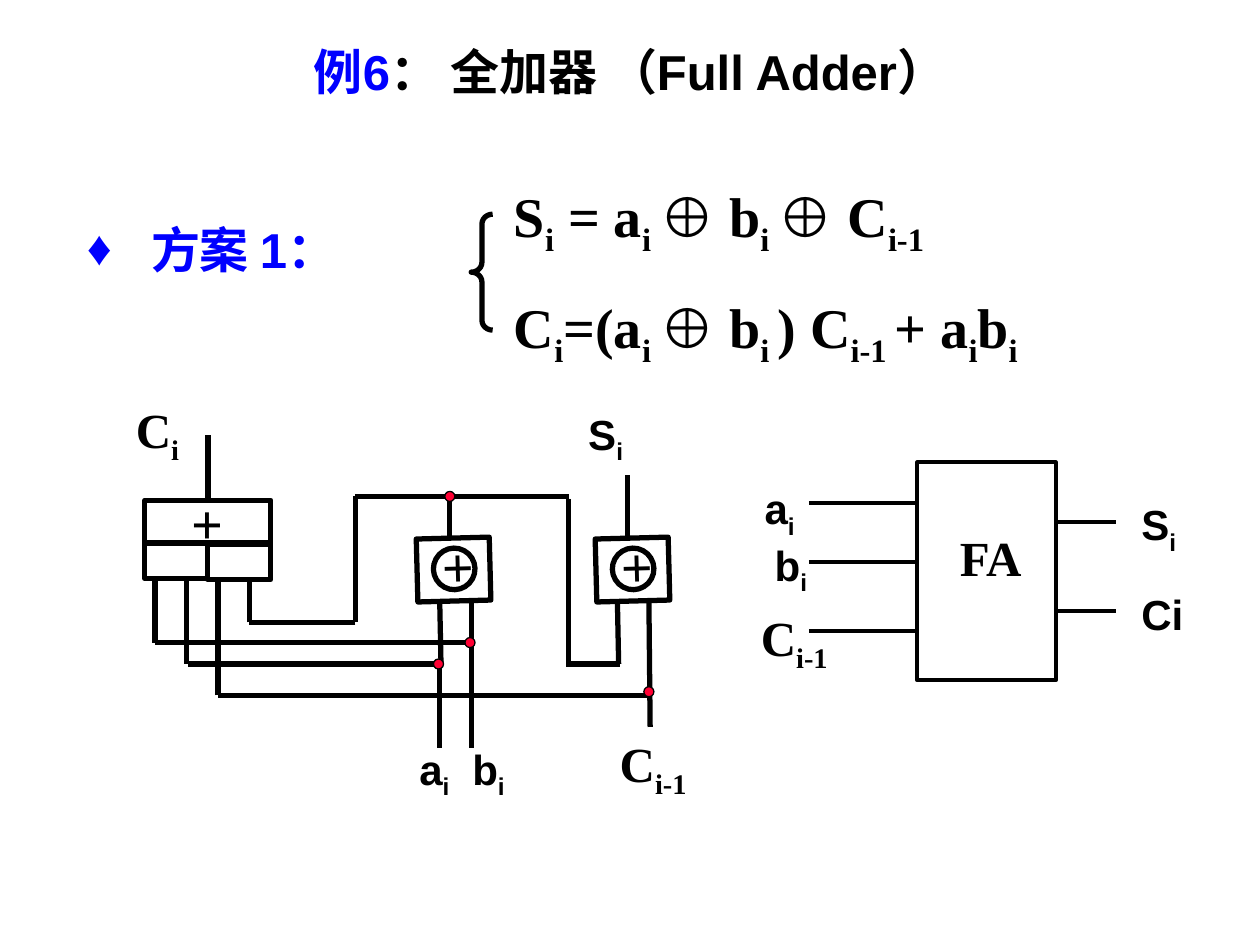
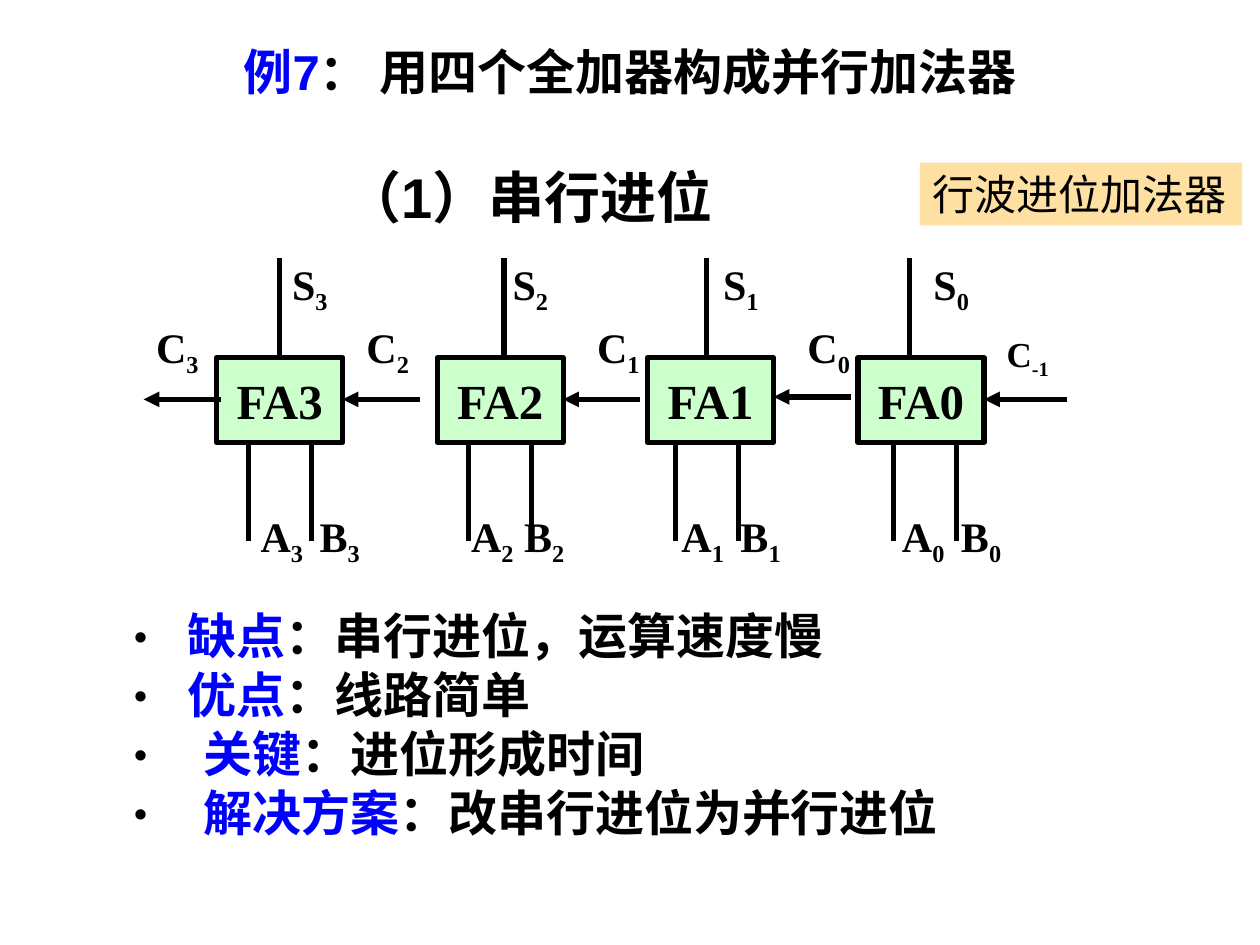
"""Build two slides on a full adder and a four-bit ripple-carry adder."""
from itertools import pairwise

from lxml import etree
from pptx import Presentation
from pptx.dml.color import RGBColor
from pptx.enum.shapes import MSO_CONNECTOR, MSO_SHAPE
from pptx.enum.text import MSO_ANCHOR, PP_ALIGN
from pptx.oxml.ns import qn
from pptx.util import Inches, Pt

BLACK = RGBColor(0x00, 0x00, 0x00)
BLUE = RGBColor(0x00, 0x00, 0xFF)
RED = RGBColor(0xFF, 0x00, 0x33)
GREEN = RGBColor(0xCC, 0xFF, 0xCC)
ORANGE = RGBColor(0xFF, 0xE0, 0xA3)
SANS, SERIF, CJK = "Arial", "Times New Roman", "Noto Sans CJK SC"
RECTANGLE, OVAL, BRACE = MSO_SHAPE.RECTANGLE, MSO_SHAPE.OVAL, MSO_SHAPE.LEFT_BRACE
STRAIGHT = MSO_CONNECTOR.STRAIGHT
CENTER, LEFT = PP_ALIGN.CENTER, PP_ALIGN.LEFT
MIDDLE, TOP = MSO_ANCHOR.MIDDLE, MSO_ANCHOR.TOP


def add_box(slide, box, paragraphs=(), kind=None, fill=None, line=0, size=24,
            font=SERIF, bold=True, align=LEFT, anchor=TOP, space=0, bullets=()):
    """Add a shape or text box; underscores in run text enclose subscripts."""
    frame = [Inches(value) for value in box]
    if kind is None:
        shape = slide.shapes.add_textbox(*frame)
    else:
        shape = slide.shapes.add_shape(kind, *frame)
        shape.shadow.inherit = False
        if fill is None:
            shape.fill.background()
        else:
            shape.fill.solid()
            shape.fill.fore_color.rgb = fill
        if line:
            shape.line.color.rgb = BLACK
            shape.line.width = Pt(line)
        else:
            shape.line.fill.background()
    text_frame = shape.text_frame
    text_frame.word_wrap = kind is None
    text_frame.vertical_anchor = anchor
    for index, runs in enumerate(paragraphs):
        paragraph = text_frame.paragraphs[0] if index == 0 else text_frame.add_paragraph()
        paragraph.alignment = align
        if index and space:
            paragraph.space_before = Pt(space)
        if bullets:
            character, bullet_font, bullet_color, indent = bullets[index]
            properties = paragraph._p.get_or_add_pPr()
            properties.set("marL", str(Inches(indent)))
            properties.set("indent", str(-Inches(indent)))
            color_element = etree.SubElement(properties, qn("a:buClr"))
            etree.SubElement(color_element, qn("a:srgbClr"), val=str(bullet_color))
            etree.SubElement(properties, qn("a:buFont"), typeface=bullet_font)
            etree.SubElement(properties, qn("a:buChar"), char=character)
        for text, color in runs:
            for part, piece in enumerate(text.split("_")):
                if not piece:
                    continue
                run = paragraph.add_run()
                run.text = piece
                run.font.size = Pt(size)
                run.font.bold = bold
                run.font.name = font
                run.font.color.rgb = color
                run_properties = run._r.get_or_add_rPr()
                if part % 2:
                    run_properties.set("baseline", "-25000")
                if font == SANS:
                    etree.SubElement(run_properties, qn("a:ea"), typeface=CJK)
    return shape


def add_wire(slide, points, width=3, arrow=False):
    """Join consecutive points with straight black connectors."""
    for start, end in pairwise(points):
        ends = [Inches(value) for value in (*start, *end)]
        wire = slide.shapes.add_connector(STRAIGHT, *ends)
        wire.line.color.rgb = BLACK
        wire.line.width = Pt(width)
        if arrow:
            etree.SubElement(wire.line._get_or_add_ln(), qn("a:tailEnd"), type="triangle")
        etree.SubElement(wire._element.spPr, qn("a:effectLst"))


presentation = Presentation()
presentation.slide_width = Inches(10)
presentation.slide_height = Inches(7.5)
titles = [
    ("例6", "： 全加器 （Full Adder）"),
    ("例7", "： 用四个全加器构成并行加法器"),
]
slides = []
for example, topic in titles:
    slide = presentation.slides.add_slide(presentation.slide_layouts[6])
    add_box(slide, (0, 0.28, 10, 0.57), [[(example, BLUE), (topic, BLACK)]],
            size=28, font=SANS, align=CENTER)
    slides.append(slide)
full_adder, ripple_adder = slides

add_box(full_adder, (0.59, 1.62, 2.99, 0.71), [[("方案 1：", BLUE)]], size=28,
        font=SANS, anchor=MIDDLE, bullets=[("♦", SANS, BLUE, 0.51)])
equations = ["S_i_ = a_i _⊕ b_i _⊕ C_i-1_", "C_i_=(a_i _⊕ b_i _) C_i-1 _+ a_i_b_i_"]
add_box(full_adder, (3.98, 1.39, 4.75, 1.43),
        [[(equation, BLACK)] for equation in equations], size=32, space=20)
brace = add_box(full_adder, (3.74, 1.7, 0.17, 0.92), kind=BRACE, line=3)
brace.adjustments[0] = 0.458

plus = [[("+", BLACK)]]
add_box(full_adder, (1.15, 3.97, 1, 0.34), plus, RECTANGLE, line=3, size=32,
        align=CENTER, anchor=MIDDLE)
for and_left, and_top in [(1.15, 4.31), (1.65, 4.32)]:
    add_box(full_adder, (and_left, and_top, 0.5, 0.28), kind=RECTANGLE, line=3)
for xor_left in (3.35, 4.77):
    gate = add_box(full_adder, (xor_left, 4.23, 0.5, 0.58), kind=RECTANGLE, line=3)
    ring = add_box(full_adder, (xor_left + 0.09, 4.35, 0.33, 0.33), plus, OVAL,
                   line=3, size=32, align=CENTER, anchor=MIDDLE)
    gate.rotation = ring.rotation = 268.5

gate_wires = [
    [(1.65, 3.95), (1.65, 3.45)],
    [(3.73, 5.1), (1.23, 5.1), (1.23, 4.6)],
    [(3.51, 5.27), (1.49, 5.27)],
    [(1.48, 5.27), (1.48, 4.6)],
    [(5.15, 5.52), (1.73, 5.52), (1.73, 4.6)],
    [(4.52, 3.94), (2.82, 3.94), (2.82, 4.94), (1.98, 4.94), (1.98, 4.6)],
    [(4.51, 3.96), (4.51, 5.29)],
    [(4.52, 5.27), (4.92, 5.27)],
    [(4.91, 5.27), (4.9, 4.77)],
    [(3.49, 4.77), (3.5, 5.27)],
    [(3.49, 5.27), (3.49, 5.94)],
    [(3.74, 4.77), (3.74, 5.94)],
    [(5.15, 4.77), (5.16, 5.77)],
    [(3.57, 4.27), (3.57, 3.97)],
    [(4.98, 4.27), (4.98, 3.77)],
]
for points in gate_wires:
    add_wire(full_adder, points)
for junction_left, junction_top in [(3.69, 5.06), (3.53, 3.9), (3.44, 5.23), (5.11, 5.45)]:
    add_box(full_adder, (junction_left, junction_top, 0.08, 0.08), kind=OVAL,
            fill=RED, line=0.75)

add_box(full_adder, (7.28, 3.67, 1.1, 1.73), kind=RECTANGLE, line=2.25)
for input_y in (3.99, 4.46, 5.01):
    add_wire(full_adder, [(6.42, input_y), (7.28, input_y)], 2.25)
for output_y in (4.14, 4.85):
    add_wire(full_adder, [(8.39, output_y), (8.86, output_y)], 2.25)

signal_labels = [
    ("C_i_", 0.98, 3.12, 28, SERIF),
    ("S_i_", 4.57, 3.19, 24, SANS),
    ("a_i_", 3.23, 5.85, 24, SANS),
    ("b_i_", 3.65, 5.85, 24, SANS),
    ("C_i-1_", 4.82, 5.77, 28, SERIF),
    ("a_i_", 5.97, 3.78, 24, SANS),
    ("b_i_", 6.05, 4.23, 24, SANS),
    ("C_i-1_", 5.94, 4.77, 28, SERIF),
    ("FA", 7.52, 4.14, 28, SERIF),
    ("S_i_", 8.96, 3.91, 24, SANS),
    ("Ci", 8.96, 4.62, 24, SANS),
]
for label, left, top, size, font in signal_labels:
    add_box(full_adder, (left, top, 0.85, 0.55), [[(label, BLACK)]], size=size, font=font)

add_box(ripple_adder, (2.64, 1.06, 4.25, 0.99), [[("（1）串行进位", BLACK)]],
        size=32, font=SANS, anchor=MIDDLE)
add_box(ripple_adder, (7.3, 1.29, 2.56, 0.5), [[("行波进位加法器", BLACK)]], RECTANGLE,
        fill=ORANGE, font=SANS, bold=False, anchor=MIDDLE)

stages = [
    (3, 1.72, 2.22, 1.97, 1.97, 1.14, 3.17),
    (2, 3.47, 4.0, 3.72, 3.64, 2.81, 3.17),
    (1, 5.14, 5.61, 5.36, 5.31, 4.64, 3.17),
    (0, 6.81, 7.22, 7.09, 7.06, 6.31, 3.15),
]
carry_end = 1.14
for bit, left, sum_x, input_x, input_label_left, carry_label_left, carry_y in stages:
    add_box(ripple_adder, (left, 2.84, 1, 0.67), [[(f"FA{bit}", BLACK)]], RECTANGLE,
            fill=GREEN, line=3, size=28, align=CENTER, anchor=MIDDLE)
    add_wire(ripple_adder, [(sum_x, 2.05), (sum_x, 2.84)])
    for x in (input_x, input_x + 0.5):
        add_wire(ripple_adder, [(x, 3.5), (x, 4.29)])
    add_wire(ripple_adder, [(carry_end + 0.61, carry_y), (carry_end, carry_y)], arrow=True)
    carry_end = left + 1
    gap = "_ " if bit == 2 else " _ "
    stage_labels = [
        (f"S_{bit}_", left + 0.5, 2, 0.92),
        (f"C_{bit}_", carry_label_left, 2.5, 0.65),
        (f"A_{bit}{gap}B_{bit}_", input_label_left, 4, 1.25),
    ]
    for label, label_left, label_top, width in stage_labels:
        add_box(ripple_adder, (label_left, label_top, width, 0.5), [[(label, BLACK)]])
add_wire(ripple_adder, [(8.47, 3.17), (carry_end, 3.17)], arrow=True)
add_box(ripple_adder, (7.89, 2.59, 0.65, 0.43), [[("C_-1_", BLACK)]], size=20)

remarks = [
    ("缺点", "：串行进位，运算速度慢", 0.56),
    ("优点", "：线路简单", 0.56),
    ("关键", "：进位形成时间", 0.69),
    ("解决方案", "：改串行进位为并行进位", 0.69),
]
add_box(ripple_adder, (0.83, 4.76, 8.66, 1.99),
        [[(heading, BLUE), (detail, BLACK)] for heading, detail, indent in remarks],
        size=28, font=SANS,
        bullets=[("·", CJK, BLACK, indent) for heading, detail, indent in remarks])

presentation.save("out.pptx")
